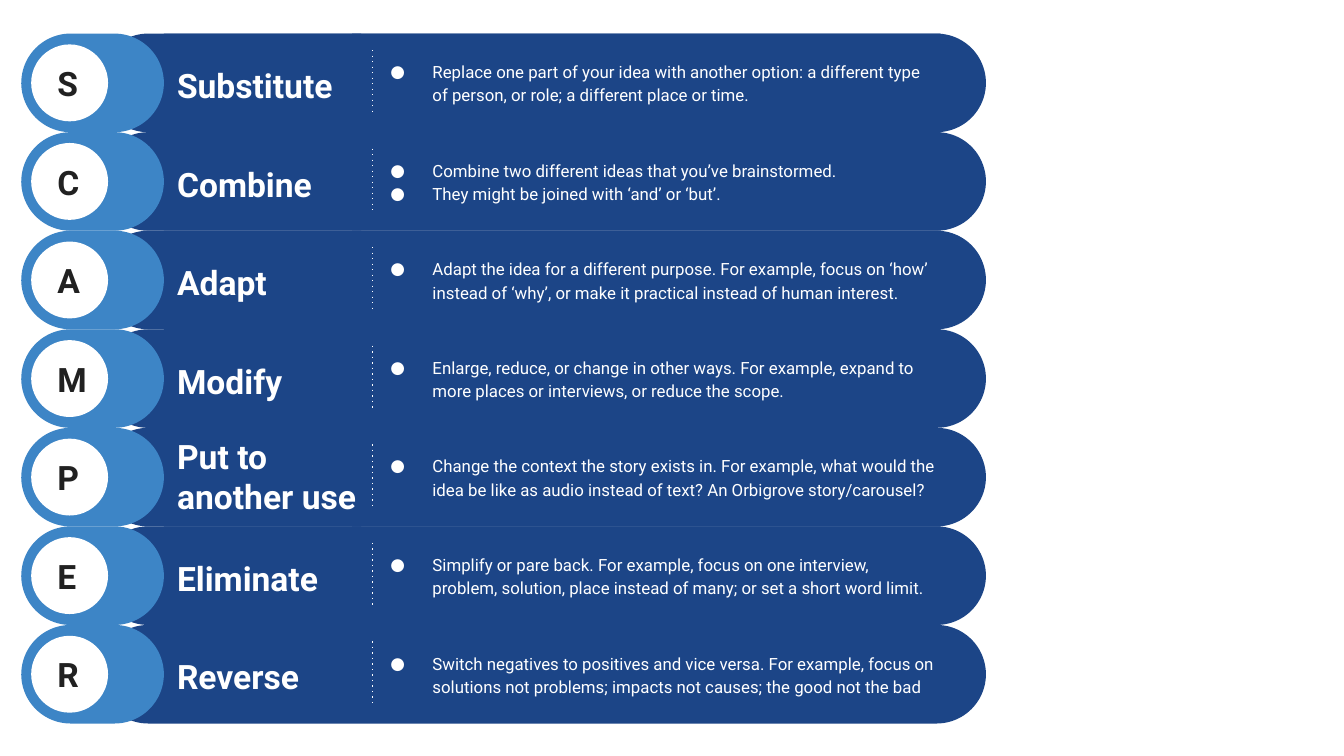
from lxml.etree import SubElement
from pptx import Presentation
from pptx.dml.color import RGBColor
from pptx.enum.shapes import MSO_CONNECTOR, MSO_SHAPE
from pptx.enum.text import MSO_ANCHOR, PP_ALIGN
from pptx.oxml.ns import qn
from pptx.util import Pt

COLORS = {"navy": "1C4587", "blue": "3D85C6", "white": "FFFFFF", "ink": "212121"}
FONT = "Roboto"
TOP, ROW_HEIGHT, PANEL_HEIGHT = 18, 52.8, 52

# Letter, heading, explanation, and any sizes that differ in that row
ROWS = [
    ("S", "Substitute", ["Replace one part of your idea with another option: a different type of person, "
                         "or role; a different place or time."], {}),
    ("C", "Combine", ["Combine two different ideas that you’ve brainstormed.",
                      "They might be joined with ‘and’ or ‘but’."], {}),
    ("A", "Adapt", ["Adapt the idea for a different purpose. For example, focus on ‘how’ instead of ‘why’, "
                    "or make it practical instead of human interest."], {}),
    ("M", "Modify", ["Enlarge, reduce, or change in other ways. For example, expand to more places or "
                     "interviews, or reduce the scope."], {}),
    ("P", "Put to another use", ["Change the context the story exists in. For example, what would the\v"
                                 "idea be like as audio instead of text? An Orbigrove story/carousel?"],
     {"heading_width": 111.6, "heading_spacing": 1.0, "body_width": 340, "body_fill": None}),
    ("E", "Eliminate", ["Simplify or pare back. For example, focus on one interview, problem, solution, "
                        "place instead of many; or set a short word limit."], {}),
    ("R", "Reverse", ["Switch negatives to positives and vice versa. For example, focus on solutions not "
                      "problems; impacts not causes; the good not the bad"],
     {"body_width": 332.6, "body_fill": None}),
]


def color(name):
    return RGBColor.from_string(COLORS[name])


def add_bullet(para):
    properties = para._p.get_or_add_pPr()
    properties.set("marL", str(Pt(36)))
    properties.set("indent", str(-Pt(22.5)))
    bullet_color = SubElement(properties, qn("a:buClr"))
    SubElement(bullet_color, qn("a:srgbClr"), val=COLORS["white"])
    SubElement(properties, qn("a:buFont"), typeface=FONT)
    SubElement(properties, qn("a:buChar"), char="●")


def write_text(box, lines, size=18, ink="white", bold=True, spacing=1.0, bullets=False):
    frame = box.text_frame
    frame.word_wrap = True
    frame.vertical_anchor = MSO_ANCHOR.MIDDLE
    frame.margin_left = frame.margin_right = Pt(7.2)
    frame.margin_top = frame.margin_bottom = Pt(7.2)
    for index, line in enumerate(lines):
        para = frame.add_paragraph() if index else frame.paragraphs[0]
        para.text = line
        para.alignment = PP_ALIGN.LEFT
        para.line_spacing = spacing
        if bullets:
            add_bullet(para)
        for span in para.runs:
            span.font.name = FONT
            span.font.size = Pt(size)
            span.font.bold = bold
            span.font.color.rgb = color(ink)


class ScamperSlide:
    def __init__(self, page):
        self.page = page
        self.group = None

    def shape(self, kind, left, top, width, height, fill):
        shape = self.group.shapes.add_shape(kind, Pt(left), Pt(top), Pt(width), Pt(height))
        shape.shadow.inherit = False
        shape.fill.solid()
        shape.fill.fore_color.rgb = color(fill)
        shape.line.fill.background()
        return shape

    def pill(self, left, top, width, fill):
        pill = self.shape(MSO_SHAPE.ROUNDED_RECTANGLE, left, top, width, ROW_HEIGHT, fill)
        pill.adjustments[0] = 0.5

    def panel(self, lines, left, top, width, height=PANEL_HEIGHT, fill=None, **style):
        """Text in a filled rectangle, or in a plain text box when fill is None."""
        if fill:
            box = self.shape(MSO_SHAPE.RECTANGLE, left, top, width, height, fill)
        else:
            box = self.group.shapes.add_textbox(Pt(left), Pt(top), Pt(width), Pt(height))
        write_text(box, lines, **style)

    def dotted_divider(self, x, top, bottom):
        divider = self.group.shapes.add_connector(
            MSO_CONNECTOR.STRAIGHT, Pt(x), Pt(top), Pt(x), Pt(bottom))
        divider.line.color.rgb = color("white")
        divider.line.width = Pt(0.75)
        properties = divider._element.spPr
        SubElement(properties.find(qn("a:ln")), qn("a:prstDash"), val="dot")
        SubElement(properties, qn("a:effectLst"))

    def row(self, top, letter, heading, lines, heading_width=105.8, heading_spacing=1.15,
            body_width=315.4, body_fill="navy"):
        self.group = self.page.shapes.add_group_shape()
        self.pill(53, top, 475.2, "navy")
        self.panel(lines, 188.6, top, body_width, fill=body_fill,
                   size=9, bold=False, spacing=1.15, bullets=True)
        self.panel([heading], 87.8, top, heading_width, fill="navy", spacing=heading_spacing)
        self.pill(11.4, top, 76.4, "blue")
        self.shape(MSO_SHAPE.OVAL, 16.7, top + 5.8, 41.2, 41.2, "white")
        self.panel([letter], 23.6, top + 11, 29.5, height=31, ink="ink")
        self.dotted_divider(199.6, top + 8.8, top + 43.8)


def main():
    deck = Presentation()
    deck.slide_width, deck.slide_height = Pt(720), Pt(405)
    slide = ScamperSlide(deck.slides.add_slide(deck.slide_layouts[6]))
    for index, (letter, heading, lines, sizes) in enumerate(ROWS):
        slide.row(TOP + index * ROW_HEIGHT, letter, heading, lines, **sizes)
    deck.save("out.pptx")


if __name__ == "__main__":
    main()
